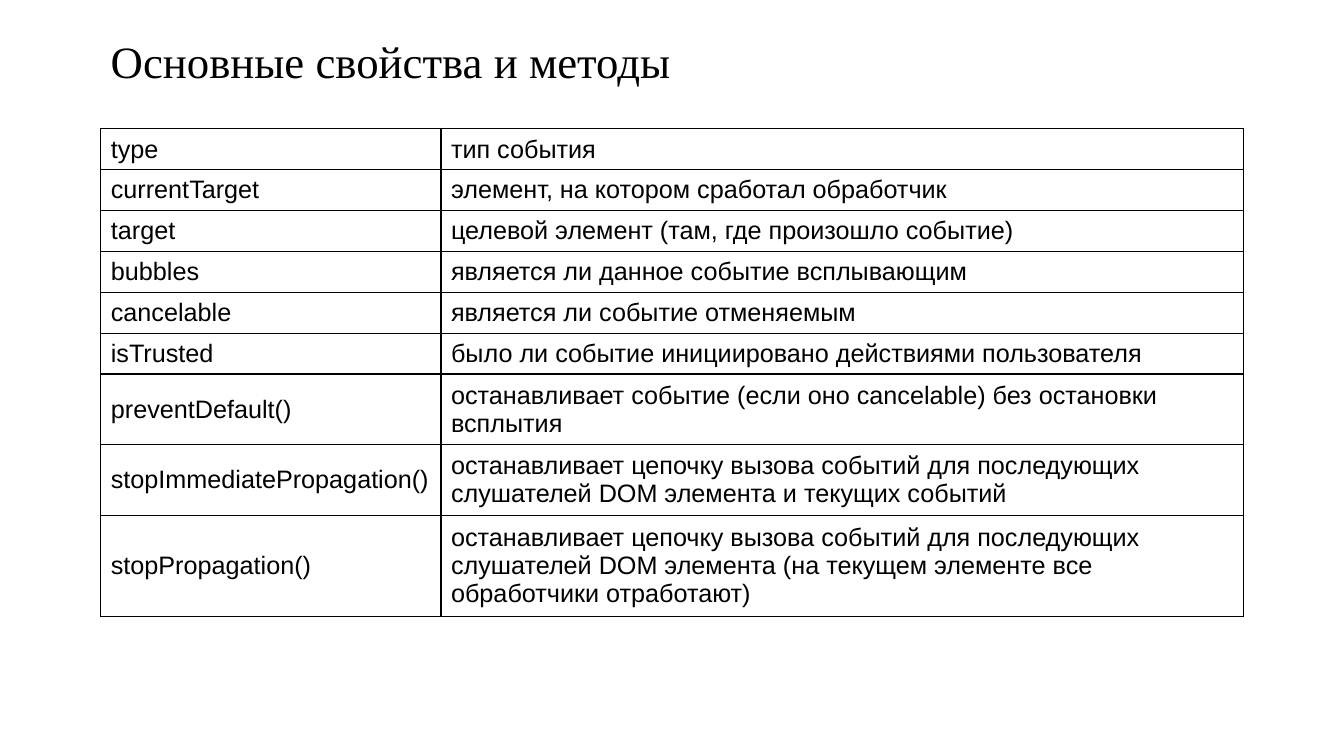
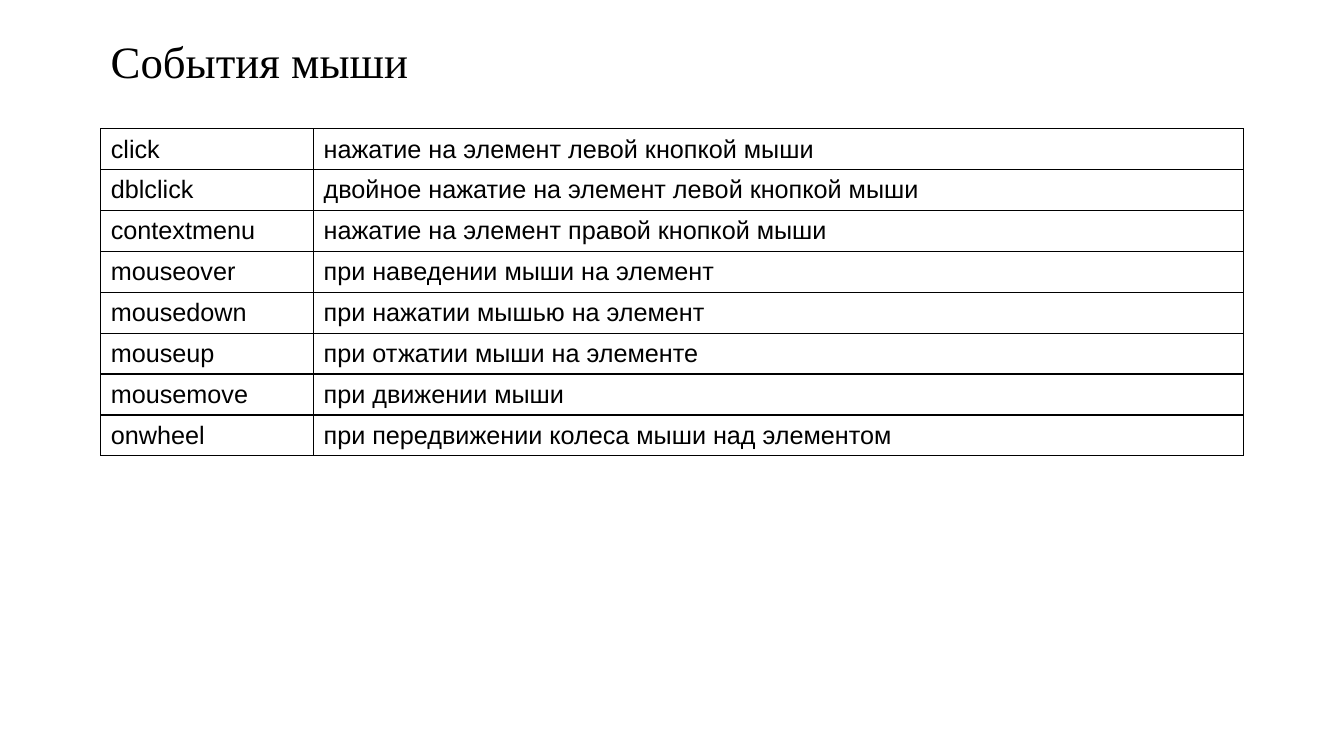
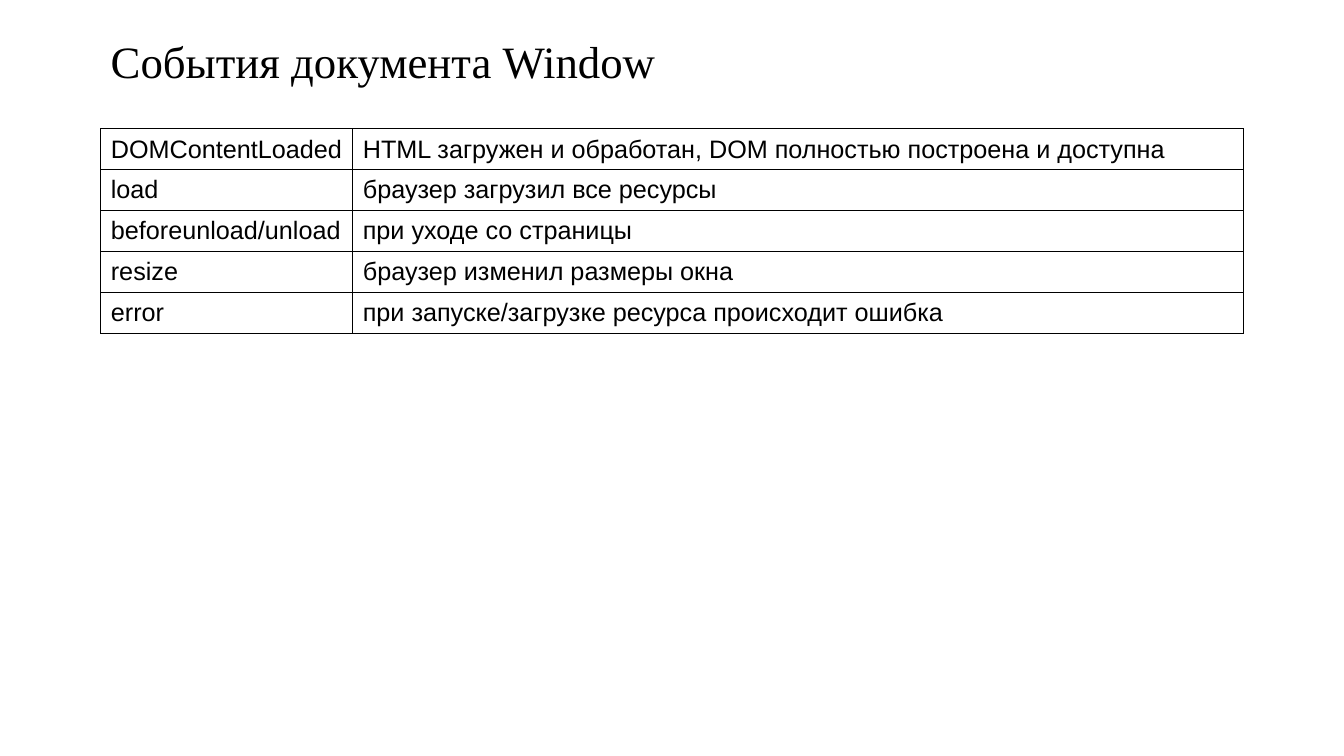
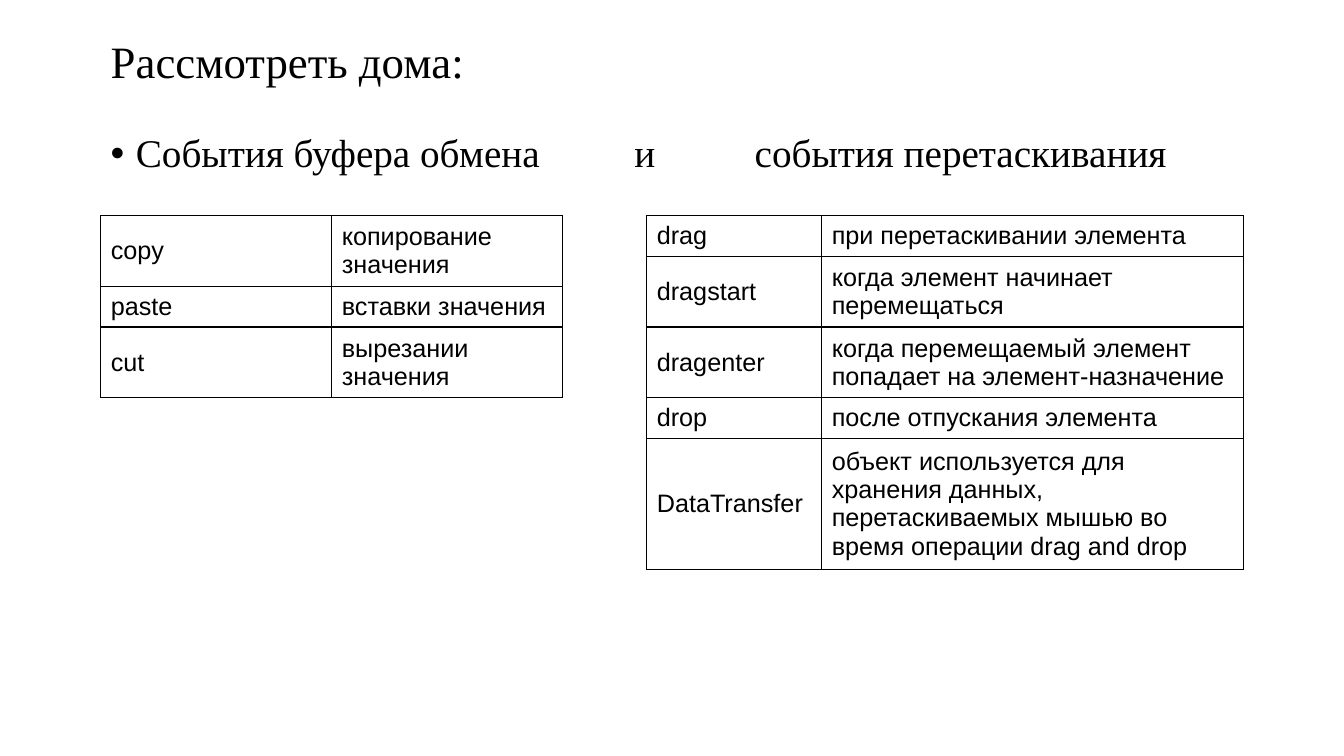
import pptx
import pptx.dml.color
import pptx.enum.text
import pptx.oxml
import pptx.oxml.ns
import pptx.util

Pt = pptx.util.Pt
ANCHOR = pptx.enum.text.MSO_ANCHOR


def colour(value):
    return pptx.dml.color.RGBColor.from_string(value)


def add_element(parent, tag, **attributes):
    element = pptx.oxml.parse_xml(f"<{tag} {pptx.oxml.ns.nsdecls('a')}/>")
    for name, value in attributes.items():
        element.set(name, str(value))
    parent.append(element)
    return element


def write_text(frame, text, size, font, ink, anchor=ANCHOR.TOP, spacing=1.0):
    frame.word_wrap = True
    frame.vertical_anchor = anchor
    para = frame.paragraphs[0]
    para.line_spacing = spacing
    span = para.add_run()
    span.text = text
    span.font.size = Pt(size)
    span.font.name = font
    span.font.color.rgb = colour(ink)
    return para


class Slides:
    """Holds the shared style and the current slide."""

    ink = "000000"
    heading_font = "Times New Roman"
    table_font = "Arial"
    left = 72
    width = 816
    title_height = 92
    row_height = 29.2
    border = 1

    def __init__(self):
        self.deck = pptx.Presentation()
        self.deck.slide_width = Pt(960)
        self.deck.slide_height = Pt(540)
        self.page = None

    def add_page(self, title):
        self.page = self.deck.slides.add_slide(self.deck.slide_layouts[6])
        self.heading(title, 0, self.title_height, size=32, anchor=ANCHOR.MIDDLE)

    def heading(self, text, top, height, size, anchor=ANCHOR.TOP):
        box = self.page.shapes.add_textbox(Pt(self.left), Pt(top), Pt(self.width), Pt(height))
        return write_text(box.text_frame, text, size=size, font=self.heading_font,
                          ink=self.ink, anchor=anchor, spacing=0.9)

    def bullet(self, text, tab_stops):
        para = self.heading(text, self.title_height, 387, size=28)
        properties = para._p.get_or_add_pPr()
        properties.set("marL", str(Pt(18)))
        properties.set("indent", str(Pt(-18)))
        add_element(properties, "a:buFont", typeface=self.table_font)
        add_element(properties, "a:buChar", char="•")
        tabs = add_element(properties, "a:tabLst")
        for position in tab_stops:
            add_element(tabs, "a:tab", pos=Pt(position), algn="l")

    def table(self, rows, name_width, left=left, top=title_height, width=width):
        shape = self.page.shapes.add_table(len(rows), 2, Pt(left), Pt(top), Pt(width),
                                           Pt(self.row_height * len(rows)))
        table = shape.table
        table.first_row = False
        table.horz_banding = False
        table.columns[0].width = Pt(name_width)
        table.columns[1].width = Pt(width - name_width)
        for row, texts in zip(table.rows, rows):
            row.height = Pt(self.row_height)
            for cell, text in zip(row.cells, texts):
                self.cell(cell, text)

    def cell(self, cell, text):
        write_text(cell.text_frame, text, size=18, font=self.table_font, ink=self.ink)
        cell.vertical_anchor = ANCHOR.MIDDLE
        properties = cell._tc.get_or_add_tcPr()
        for side in ("lnL", "lnR", "lnT", "lnB"):
            line = add_element(properties, f"a:{side}", w=Pt(self.border))
            fill = add_element(line, "a:solidFill")
            add_element(fill, "a:srgbClr", val=self.ink)
        cell.fill.background()


EVENT_MEMBERS = [
    ("type", "тип события"),
    ("currentTarget", "элемент, на котором сработал обработчик"),
    ("target", "целевой элемент (там, где произошло событие)"),
    ("bubbles", "является ли данное событие всплывающим"),
    ("cancelable", "является ли событие отменяемым"),
    ("isTrusted", "было ли событие инициировано действиями пользователя"),
    ("preventDefault()", "останавливает событие (если оно cancelable) без остановки всплытия"),
    ("stopImmediatePropagation()",
     "останавливает цепочку вызова событий для последующих слушателей DOM элемента и текущих событий"),
    ("stopPropagation()",
     "останавливает цепочку вызова событий для последующих слушателей DOM элемента "
     "(на текущем элементе все обработчики отработают)"),
]
MOUSE_EVENTS = [
    ("click", "нажатие на элемент левой кнопкой мыши"),
    ("dblclick", "двойное нажатие на элемент левой кнопкой мыши"),
    ("contextmenu", "нажатие на элемент правой кнопкой мыши"),
    ("mouseover", "при наведении мыши на элемент"),
    ("mousedown", "при нажатии мышью на элемент"),
    ("mouseup", "при отжатии мыши на элементе"),
    ("mousemove", "при движении мыши"),
    ("onwheel", "при передвижении колеса мыши над элементом"),
]
WINDOW_EVENTS = [
    ("DOMContentLoaded", "HTML загружен и обработан, DOM полностью построена и доступна"),
    ("load", "браузер загрузил все ресурсы"),
    ("beforeunload/unload", "при уходе со страницы"),
    ("resize", "браузер изменил размеры окна"),
    ("error", "при запуске/загрузке ресурса происходит ошибка"),
]
CLIPBOARD_EVENTS = [
    ("copy", "копирование значения"),
    ("paste", "вставки значения"),
    ("cut", "вырезании значения"),
]
DRAG_EVENTS = [
    ("drag", "при перетаскивании элемента"),
    ("dragstart", "когда элемент начинает перемещаться"),
    ("dragenter", "когда перемещаемый элемент попадает на элемент-назначение"),
    ("drop", "после отпускания элемента"),
    ("DataTransfer",
     "объект используется для хранения данных, перетаскиваемых мышью во время операции drag and drop"),
]


def main():
    slides = Slides()
    for title, rows, name_width in (
        ("Основные свойства и методы", EVENT_MEMBERS, 243),
        ("События мыши", MOUSE_EVENTS, 152),
        ("События документа Window", WINDOW_EVENTS, 180),
    ):
        slides.add_page(title)
        slides.table(rows, name_width)

    slides.add_page("Рассмотреть дома:")
    slides.bullet("События буфера обмена\tи\tсобытия перетаскивания", tab_stops=(374, 460))
    slides.table(CLIPBOARD_EVENTS, 165, top=154, width=330)
    slides.table(DRAG_EVENTS, 125, left=462, top=154, width=426)
    slides.deck.save("out.pptx")


if __name__ == "__main__":
    main()
